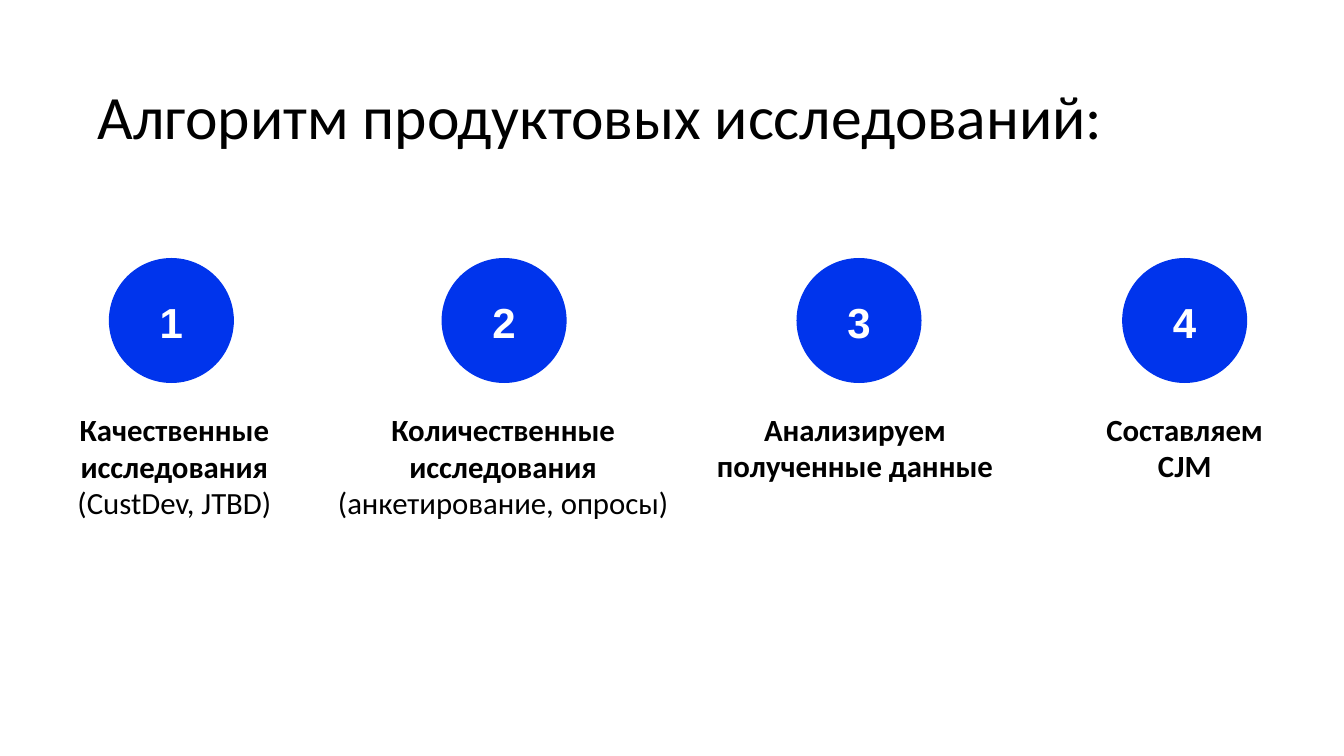
import pptx
import pptx.util
import pptx.dml.color
import pptx.enum.shapes
import pptx.enum.text

Inches = pptx.util.Inches
ALIGN = pptx.enum.text.PP_ALIGN
ANCHOR = pptx.enum.text.MSO_ANCHOR

# Content: bold text, plain text, circle centre, caption centre, caption width
TITLE = "Алгоритм продуктовых исследований:"
STEPS = [
    ("Качественные исследования ", "(CustDev, JTBD)", 1.70, 1.73, 2.67),
    ("Количественные исследования", " (анкетирование, опросы)", 5.00, 4.99, 3.48),
    ("Анализируем полученные данные", "", 8.52, 8.48, 2.84),
    ("Составляем\vCJM", "", 11.75, 11.75, 2.34),
]

THEME = {
    "black": "000000", "white": "FFFFFF", "blue": "0034EC",
    "body": "Calibri", "digits": "Arial",
    "title": 44, "number": 30, "caption": 22,
}

# Layout in inches
WIDTH, HEIGHT = 13.33, 7.5
MARGIN, TITLE_TOP, TITLE_HEIGHT = 0.92, 0.75, 0.75
CIRCLE_TOP, DIAMETER = 2.56, 1.24
CAPTION_TOP, LINE_HEIGHT = 4.05, 0.37


def color(name):
    return pptx.dml.color.RGBColor.from_string(THEME[name])


def write(sp, *runs, size, font="body", fill="black", align=ALIGN.CENTER,
          anchor=ANCHOR.TOP, left=0, top=0.02):
    """Fill a shape with one paragraph of (text, bold) runs."""
    tf = sp.text_frame
    tf.word_wrap = True
    tf.auto_size = pptx.enum.text.MSO_AUTO_SIZE.NONE
    tf.vertical_anchor = anchor
    tf.margin_left, tf.margin_top = Inches(left), Inches(top)
    tf.margin_right = tf.margin_bottom = 0
    p = tf.paragraphs[0]
    p.alignment = align
    for text, bold in runs:
        for i, line in enumerate(text.split("\v")):
            if i:
                p.add_line_break()
            r = p.add_run()
            r.text = line
            r.font.name = THEME[font]
            r.font.size = pptx.util.Pt(THEME[size])
            r.font.bold = bold
            r.font.color.rgb = color(fill)


prs = pptx.Presentation()
prs.slide_width, prs.slide_height = Inches(WIDTH), Inches(HEIGHT)
s = prs.slides.add_slide(prs.slide_layouts.get_by_name("Title Only"))

# Title
title = s.shapes.title
title.left, title.top = Inches(MARGIN), Inches(TITLE_TOP)
title.width, title.height = Inches(WIDTH - 2 * MARGIN), Inches(TITLE_HEIGHT)
write(title, (TITLE, False), size="title", align=ALIGN.LEFT,
      anchor=ANCHOR.MIDDLE, left=0.05)

for number, (bold, plain, circle_x, caption_x, width) in enumerate(STEPS, 1):
    # Numbered circle
    sp = s.shapes.add_shape(
        pptx.enum.shapes.MSO_SHAPE.OVAL, Inches(circle_x - DIAMETER / 2),
        Inches(CIRCLE_TOP), Inches(DIAMETER), Inches(DIAMETER))
    sp.shadow.inherit = False
    sp.fill.solid()
    sp.fill.fore_color.rgb = color("blue")
    sp.line.fill.background()
    write(sp, (str(number), True), size="number", font="digits",
          fill="white", anchor=ANCHOR.MIDDLE)

    # Caption below it
    runs = [(bold, True)] + ([(plain, False)] if plain else [])
    lines = 3 if plain else 2
    box = s.shapes.add_textbox(
        Inches(caption_x - width / 2), Inches(CAPTION_TOP),
        Inches(width), Inches(lines * LINE_HEIGHT))
    write(box, *runs, size="caption")

prs.save("out.pptx")
